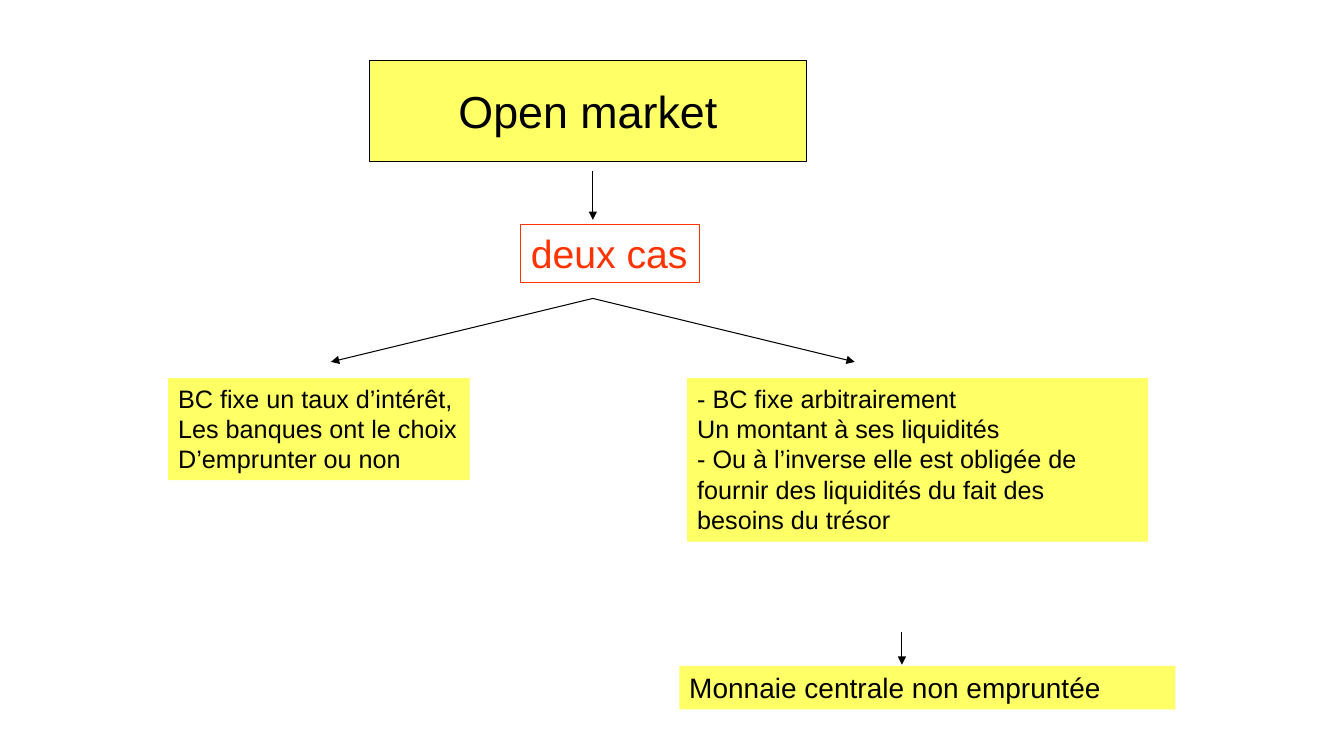
from lxml import etree
from pptx import Presentation
from pptx.dml.color import RGBColor
from pptx.enum import shapes, text
from pptx.oxml.ns import qn
from pptx.util import Cm, Pt

BLACK = RGBColor(0x00, 0x00, 0x00)
YELLOW = RGBColor(0xFF, 0xFF, 0x66)
RED = RGBColor(0xFF, 0x33, 0x00)
FONT = "Arial"
AXIS = 14.94  # shared centre of the arrows under the title, in cm


def add_label(slide, box, lines, size=18, color=BLACK, fill=None, outline=None,
              wrap=False, grow=True, align=text.PP_ALIGN.LEFT,
              anchor=text.MSO_ANCHOR.TOP):
    """Add a rectangle with one paragraph per line; box is in cm."""
    label = slide.shapes.add_shape(shapes.MSO_SHAPE.RECTANGLE, *map(Cm, box))
    label.shadow.inherit = False
    if fill is None:
        label.fill.background()
    else:
        label.fill.solid()
        label.fill.fore_color.rgb = fill
    if outline is None:
        label.line.fill.background()
    else:
        label.line.color.rgb = outline
        label.line.width = Pt(0.75)

    frame = label.text_frame
    frame.word_wrap = wrap
    frame.vertical_anchor = anchor
    frame.auto_size = (text.MSO_AUTO_SIZE.SHAPE_TO_FIT_TEXT if grow
                       else text.MSO_AUTO_SIZE.NONE)
    frame.text = "\n".join(lines)
    for paragraph in frame.paragraphs:
        paragraph.alignment = align
        for run in paragraph.runs:
            run.font.name = FONT
            run.font.size = Pt(size)
            run.font.color.rgb = color


def add_arrow(slide, start, end):
    arrow = slide.shapes.add_connector(
        shapes.MSO_CONNECTOR.STRAIGHT, *map(Cm, (*start, *end)))
    arrow.line.color.rgb = BLACK
    arrow.line.width = Pt(0.75)
    etree.SubElement(arrow.line._get_or_add_ln(), qn("a:tailEnd"), type="triangle")
    etree.SubElement(arrow._element.spPr, qn("a:effectLst"))


def add_heading(slide, left, top, width, height):
    """Add the title with the arrow and the question below it."""
    add_label(slide, (left, top, width, height), ["Open market"], size=32,
              fill=YELLOW, outline=BLACK, grow=False,
              align=text.PP_ALIGN.CENTER, anchor=text.MSO_ANCHOR.MIDDLE)
    bottom = top + height
    add_arrow(slide, (AXIS, bottom + 0.26), (AXIS, bottom + 1.48))
    add_label(slide, (left + 3.81, bottom + 1.6, 4.5, 1.47), ["deux cas"],
              size=28, color=RED, outline=RED)


def add_fork(slide, top, spread, height):
    for side in (-1, 1):
        add_arrow(slide, (AXIS, top), (AXIS + side * spread, top + height))


def add_free_choice(slide, left, top, width, height):
    add_label(slide, (left, top, width, height),
              ["BC fixe un taux d’intérêt,",
               "Les banques ont le choix",
               "D’emprunter ou non"], fill=YELLOW)


def add_imposed_amount(slide, left, top, width, height):
    """Add the second case, its arrow and its outcome."""
    add_label(slide, (left, top, width, height),
              ["- BC fixe arbitrairement",
               "Un montant à ses liquidités",
               "- Ou à l’inverse elle est obligée de fournir des liquidités "
               "du fait des besoins du trésor"], fill=YELLOW, wrap=True)
    outcome_top = top + 7.25
    add_label(slide, (left - 0.2, outcome_top, width + 0.89, 1.1),
              ["Monnaie centrale non empruntée"], size=20, fill=YELLOW, wrap=True)
    arrow_x = left + 5.41
    add_arrow(slide, (arrow_x, outcome_top - 0.85), (arrow_x, outcome_top - 0.03))


def main():
    deck = Presentation()
    deck.slide_width, deck.slide_height = Cm(33.87), Cm(19.05)
    slide = deck.slides.add_slide(deck.slide_layouts[6])
    add_heading(slide, 9.32, 1.52, 11, 2.54)
    add_fork(slide, top=7.52, spread=6.6, height=1.6)
    add_free_choice(slide, 4.24, 9.53, 7.6, 2.57)
    add_imposed_amount(slide, 17.32, 9.53, 11.61, 4.12)
    deck.save("out.pptx")


if __name__ == "__main__":
    main()
